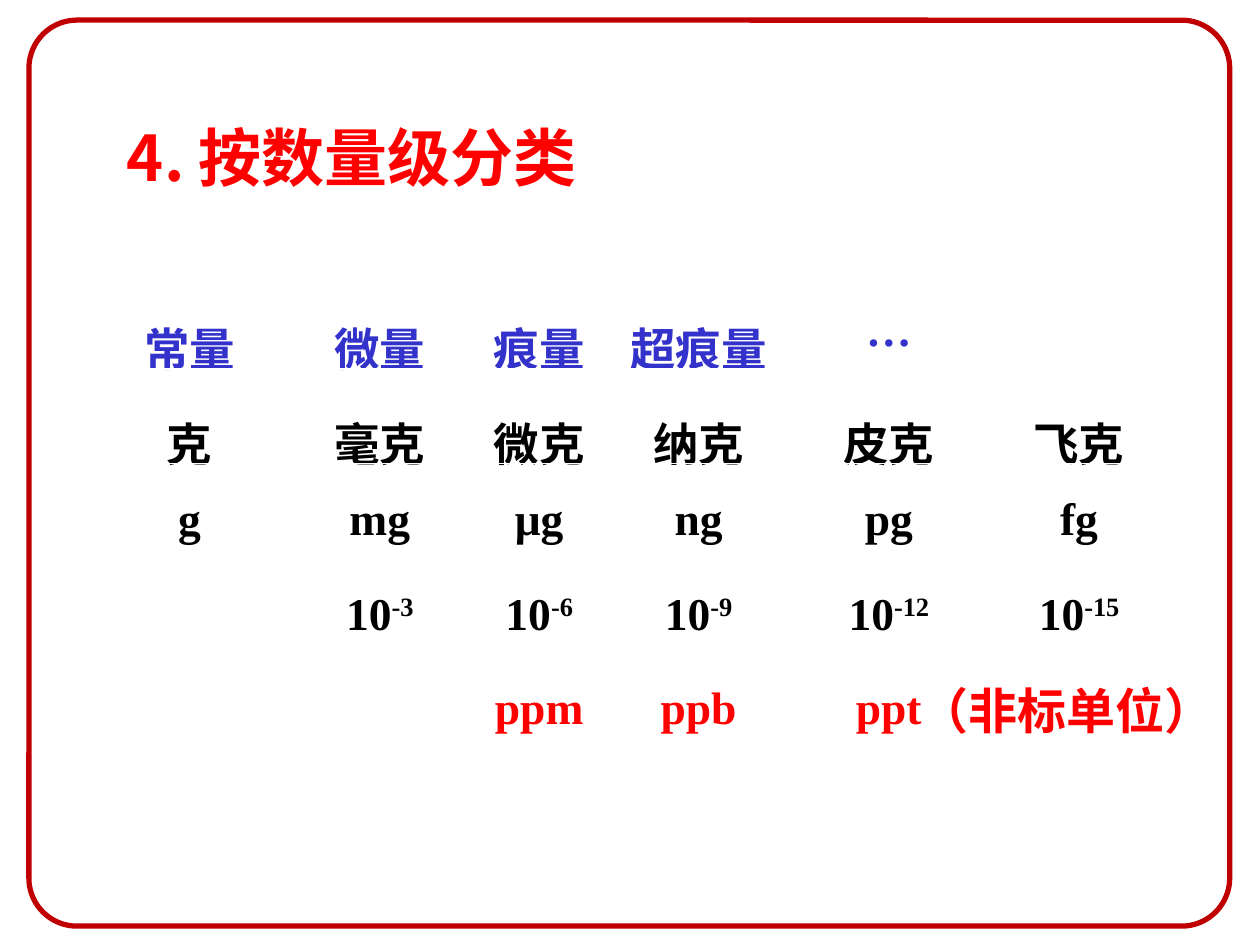
from lxml.etree import SubElement
from pptx import Presentation
from pptx.dml.color import RGBColor
from pptx.enum.shapes import MSO_SHAPE
from pptx.enum.text import MSO_ANCHOR, MSO_AUTO_SIZE, PP_ALIGN
from pptx.oxml.ns import qn
from pptx.util import Inches, Pt

RED = RGBColor(0xFF, 0x00, 0x00)
DARK_RED = RGBColor(0xC0, 0x00, 0x00)
BLUE = RGBColor(0x33, 0x33, 0xCC)
BLACK = RGBColor(0x00, 0x00, 0x00)
CJK_FONT = "Noto Sans CJK SC"

TITLE = "4. 按数量级分类"
UNIT_NOTE = "（非标单位）"
# Each row: text colour and cells; "^" starts a superscript
ROWS = [
    (BLUE, ["常量", "微量", "痕量", "超痕量", "…", ""]),
    (BLACK, ["克", "毫克", "微克", "纳克", "皮克", "飞克"]),
    (BLACK, ["g", "mg", "μg", "ng", "pg", "fg"]),
    (BLACK, ["", "10^-3", "10^-6", "10^-9", "10^-12", "10^-15"]),
    (RED, ["", "", "ppm", "ppb", "ppt", ""]),
]
COL_WIDTHS = [1.51, 1.51, 1.02, 1.51, 1.51, 1.51]
ROW_HEIGHT = 0.59


def write(p, text, size, font, color):
    """Fill a paragraph with bold text, raising what follows a caret."""
    base, _, exponent = text.partition("^")
    for part, raised in ((base, False), (exponent, True)):
        if not part:
            continue
        r = p.add_run()
        r.text = part
        r.font.size, r.font.name, r.font.bold = Pt(size), font, True
        r.font.color.rgb = color
        props = r.font._element
        SubElement(props, qn("a:ea"), typeface=CJK_FONT)
        if raised:
            props.set("baseline", "30000")


def add_text(slide, box, text, size, font):
    sp = slide.shapes.add_textbox(*map(Inches, box))
    write(sp.text_frame.paragraphs[0], text, size, font, RED)
    return sp.text_frame


def add_frame(slide):
    sp = slide.shapes.add_shape(MSO_SHAPE.ROUNDED_RECTANGLE, Inches(0.23),
                                Inches(0.16), Inches(9.53), Inches(7.19))
    sp.adjustments[0] = 0.053
    sp.shadow.inherit = False
    sp.fill.background()
    sp.line.color.rgb = DARK_RED
    sp.line.width = Pt(3)


def add_units_table(slide):
    table = slide.shapes.add_table(
        len(ROWS), len(COL_WIDTHS), Inches(0.75), Inches(2.18),
        Inches(sum(COL_WIDTHS)), Inches(ROW_HEIGHT * len(ROWS))).table
    table.horz_banding = False
    for column, width in zip(table.columns, COL_WIDTHS):
        column.width = Inches(width)
    for row, (color, texts) in zip(table.rows, ROWS):
        row.height = Inches(ROW_HEIGHT)
        for cell, text in zip(row.cells, texts):
            cell.fill.background()
            p = cell.text_frame.paragraphs[0]
            p.alignment = PP_ALIGN.CENTER
            p.line_spacing = 1.5
            write(p, text, 26, "Times New Roman", color)


def main():
    prs = Presentation()
    prs.slide_width, prs.slide_height = Inches(10), Inches(7.5)
    slide = prs.slides.add_slide(prs.slide_layouts[6])

    add_frame(slide)
    title = add_text(slide, (0.91, 0.76, 5.04, 0.83), TITLE, 36, CJK_FONT)
    title.word_wrap = True
    title.vertical_anchor = MSO_ANCHOR.BOTTOM
    add_units_table(slide)
    note = add_text(slide, (7.2, 5.35, 2.57, 0.57), UNIT_NOTE, 28, "Arial")
    note.word_wrap = False
    note.auto_size = MSO_AUTO_SIZE.SHAPE_TO_FIT_TEXT

    prs.save("out.pptx")


if __name__ == "__main__":
    main()
